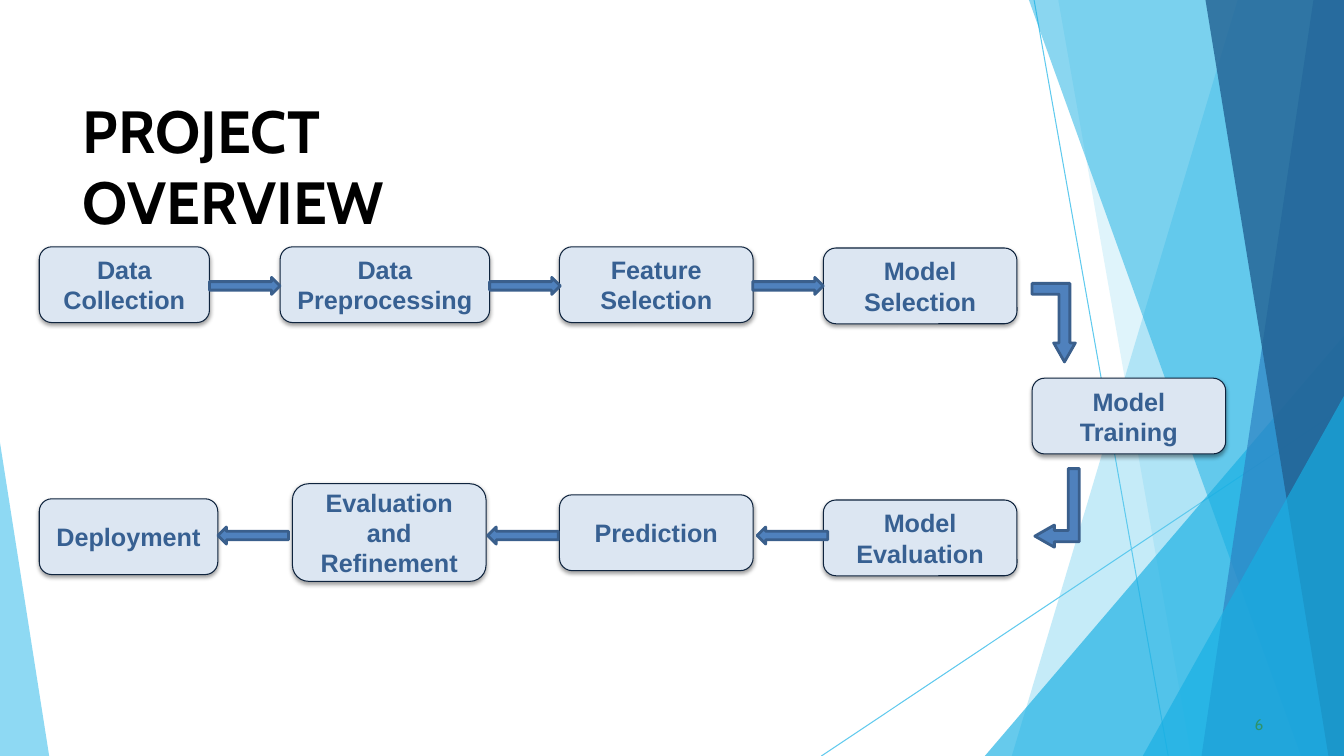
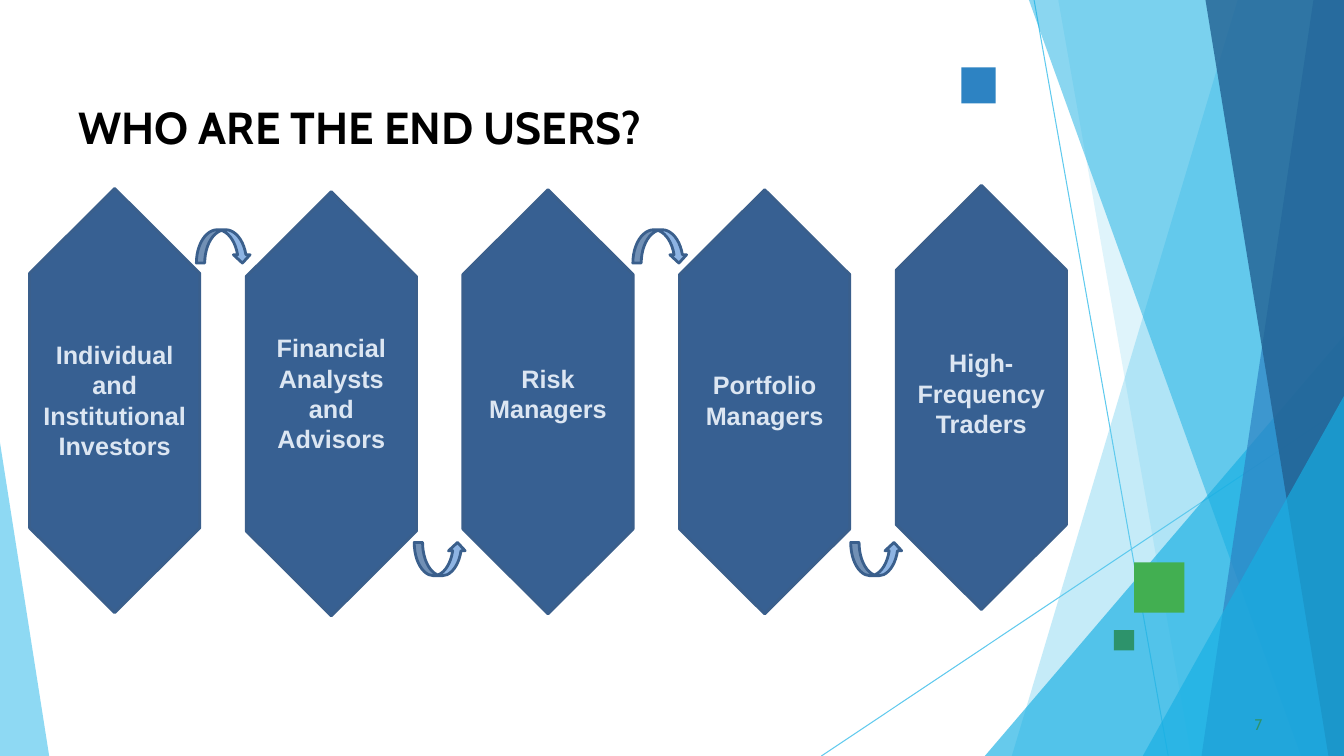
from lxml import etree
from pptx import Presentation
from pptx.dml.color import RGBColor
from pptx.enum.shapes import MSO_CONNECTOR, MSO_SHAPE
from pptx.enum.text import MSO_ANCHOR, MSO_AUTO_SIZE, PP_ALIGN
from pptx.oxml import parse_xml
from pptx.oxml.ns import nsdecls, qn
from pptx.util import Cm, Pt

BLACK = RGBColor(0x00, 0x00, 0x00)
SKY = RGBColor(0x5F, 0xCA, 0xEE)
CYAN = RGBColor(0x17, 0xAF, 0xE3)
BLUE = RGBColor(0x2D, 0x83, 0xC3)
DEEP_BLUE = RGBColor(0x22, 0x61, 0x92)
GREEN = RGBColor(0x42, 0xAF, 0x51)
TEAL = RGBColor(0x2D, 0x93, 0x6B)
PALE = RGBColor(0xDC, 0xE6, 0xF2)
NAVY = RGBColor(0x0F, 0x24, 0x3E)
STEEL = RGBColor(0x37, 0x60, 0x92)
ARROW_BLUE = RGBColor(0x4F, 0x81, 0xBD)
CURVE_BLUE = RGBColor(0x8E, 0xB4, 0xE3)
EDGE = RGBColor(0x3A, 0x5F, 0x8C)
W, H = 33.87, 19.05


def paint(sp, fill, line=None, width=2):
    """Give a shape a flat fill and an optional outline (width in points)."""
    sp.shadow.inherit = False
    sp.fill.solid()
    sp.fill.fore_color.rgb = fill
    if line is None:
        sp.line.fill.background()
    else:
        sp.line.color.rgb = line
        sp.line.width = Pt(width)


def write(sp, text, font, size, color, bold=True, align=PP_ALIGN.CENTER,
          anchor=MSO_ANCHOR.MIDDLE, margins=None):
    """Set a shape's text; margins are (left, top) in cm, with none on the other sides."""
    tf = sp.text_frame
    tf.text = text
    tf.word_wrap = True
    tf.auto_size = MSO_AUTO_SIZE.NONE
    tf.vertical_anchor = anchor
    if margins:
        tf.margin_left, tf.margin_top = map(Cm, margins)
        tf.margin_right = tf.margin_bottom = 0
    for p in tf.paragraphs:
        p.alignment = align
        for r in p.runs:
            r.font.name = font
            r.font.size = Pt(size)
            r.font.bold = bold
            r.font.color.rgb = color


prs = Presentation()
prs.slide_width, prs.slide_height = Cm(W), Cm(H)
layout = prs.slide_layouts[5]
for ph in list(layout.placeholders):
    if ph.placeholder_format.idx:
        ph.element.getparent().remove(ph.element)

# Slides with title and page number
pages = [
    ("PROJECT\vOVERVIEW", (2.06, 2.31, 14.63, 3.8), 42.5, (0.03, 0.05), "6"),
    ("WHO ARE THE END USERS?", (1.55, 1.07, 27.13, 3.12), 32, (0.43, 1.45), "7"),
]
for title, box, size, margins, number in pages:
    slide = prs.slides.add_slide(layout)
    sp = slide.shapes.title
    sp.left, sp.top, sp.width, sp.height = map(Cm, box)
    write(sp, title, "Cabin", size, BLACK, align=PP_ALIGN.LEFT,
          anchor=MSO_ANCHOR.TOP, margins=margins)
    sp = slide.shapes.add_textbox(Cm(31.32), Cm(17.98), Cm(0.66), Cm(0.53))
    write(sp, number, "Cabin", 11, TEAL, bold=False, align=PP_ALIGN.LEFT,
          anchor=MSO_ANCHOR.TOP, margins=(0.3, 0.03))
overview, users = prs.slides

# Shared backdrop: drawn with slide tools, then moved to the layout
backdrop = []
for ends in [(26.06, 0, 29.44, H), (W, 10.26, 20.7, H)]:
    line = overview.shapes.add_connector(MSO_CONNECTOR.STRAIGHT, *map(Cm, ends))
    line.line.color.rgb = SKY
    line.line.width = Pt(0.75)
    etree.SubElement(line.element.spPr, qn("a:effectLst"))
    backdrop.append(line)

facets = [
    (SKY, 36, [(W, 0), (31.19, 0), (25.5, H), (W, H)]),
    (SKY, 20, [(W, 0), (26.67, 0), (30.02, H), (W, H)]),
    (CYAN, 66, [(W, 8.46), (24.82, H), (W, H)]),
    (CYAN, 50, [(W, 0), (25.93, 0), (32.79, H), (W, H)]),
    (BLUE, 70, [(W, 0), (33.1, 0), (30.28, H), (W, H)]),
    (DEEP_BLUE, 80, [(W, 0), (30.38, 0), (33.48, H), (W, H)]),
    (CYAN, 66, [(W, 9.98), (28.8, H), (W, H)]),
    (SKY, 70, [(0, 11.15), (0, H), (1.24, H)]),
]
for color, opacity, corners in facets:
    points = [(Cm(x), Cm(y)) for x, y in corners]
    builder = overview.shapes.build_freeform(*points[0])
    builder.add_line_segments(points[1:], close=True)
    sp = builder.convert_to_shape()
    paint(sp, color)
    rgb = sp.element.spPr.find(qn("a:solidFill")).find(qn("a:srgbClr"))
    etree.SubElement(rgb, qn("a:alpha")).set("val", str(opacity * 1000))
    backdrop.append(sp)
for position, sp in enumerate(backdrop, start=2):
    layout.shapes.element.insert(position, sp.element)

# Project overview: process steps
steps = [
    ("Data Collection", 0.99, 6.22, 4.29, 1.91),
    ("Data Preprocessing", 7.06, 6.22, 5.28, 1.91),
    ("Feature Selection", 14.1, 6.22, 4.88, 1.91),
    ("Model Selection", 20.75, 6.25, 4.88, 1.91),
    ("Model Training", 26.01, 9.53, 4.88, 1.91),
    ("Model Evaluation", 20.75, 12.6, 4.88, 1.91),
    ("Prediction", 14.1, 12.47, 4.88, 1.91),
    ("Evaluation and Refinement", 7.37, 12.19, 4.88, 2.46),
    ("Deployment", 0.99, 12.57, 4.5, 1.91),
]
SHADOW = (f'<a:outerShdw {nsdecls("a")} blurRad="40000" dist="20000" dir="5400000" '
          'rotWithShape="0"><a:srgbClr val="000000"><a:alpha val="38000"/>'
          '</a:srgbClr></a:outerShdw>')
for text, *box in steps:
    sp = overview.shapes.add_shape(MSO_SHAPE.FLOWCHART_ALTERNATE_PROCESS, *map(Cm, box))
    paint(sp, PALE, NAVY, 0.75)
    sp.element.spPr.find(qn("a:effectLst")).append(parse_xml(SHADOW))
    write(sp, text, "Arial", 18, STEEL)

for top, rotation, lefts in [(6.99, 0, (5.28, 12.34, 18.97)),
                             (13.28, 180, (5.49, 12.29, 19.08))]:
    for left in lefts:
        sp = overview.shapes.add_shape(MSO_SHAPE.RIGHT_ARROW, Cm(left), Cm(top),
                                       Cm(1.78), Cm(0.43))
        sp.rotation = rotation
        paint(sp, ARROW_BLUE, EDGE)

for rotation, *box in [(180, 26.01, 7.14, 1.09, 1.98), (270, 25.65, 12.24, 1.98, 1.12)]:
    sp = overview.shapes.add_shape(MSO_SHAPE.BENT_UP_ARROW, *map(Cm, box))
    sp.adjustments[2] = 0.44
    sp.rotation = rotation
    sp.element.spPr.get_or_add_xfrm().set("flipH", "1")
    paint(sp, ARROW_BLUE, EDGE)

# End users: accent squares
for color, *box in [(GREEN, 28.58, 14.17, 1.27, 1.27), (BLUE, 24.23, 1.7, 0.86, 0.91),
                    (TEAL, 28.07, 15.88, 0.51, 0.51)]:
    paint(users.shapes.add_shape(MSO_SHAPE.RECTANGLE, *map(Cm, box)), color)

# End users: upright hexagons with upright labels
LENGTH, BREADTH, PITCH, FIRST_CENTER = 10.69, 4.29, 5.46, 2.89
groups = [
    ("Individual and Institutional Investors", 7.95, 8.43, 3.33),
    ("Financial Analysts and Advisors", 8.03, 8.26, 3.33),
    ("Risk Managers", 7.98, 9.02, 1.8),
    ("Portfolio Managers", 7.98, 9.19, 1.8),
    ("High-Frequency Traders", 7.87, 8.64, 2.57),
]
for i, (text, hexagon_top, label_top, label_height) in enumerate(groups):
    center = FIRST_CENTER + i * PITCH
    sp = users.shapes.add_shape(MSO_SHAPE.FLOWCHART_PREPARATION, Cm(center - LENGTH / 2),
                                Cm(hexagon_top), Cm(LENGTH), Cm(BREADTH))
    sp.rotation = 90
    paint(sp, STEEL, EDGE)
    sp = users.shapes.add_textbox(Cm(center - BREADTH / 2), Cm(label_top),
                                  Cm(BREADTH), Cm(label_height))
    write(sp, text, "Arial", 18, PALE, anchor=MSO_ANCHOR.TOP)

for kind, top, width, lefts in [
    (MSO_SHAPE.CURVED_DOWN_ARROW, 5.79, 1.37, (4.95, 15.95)),
    (MSO_SHAPE.CURVED_UP_ARROW, 13.67, 1.3, (10.44, 21.44)),
]:
    for left in lefts:
        sp = users.shapes.add_shape(kind, Cm(left), Cm(top), Cm(width), Cm(0.84))
        paint(sp, CURVE_BLUE, EDGE)

prs.save("out.pptx")
